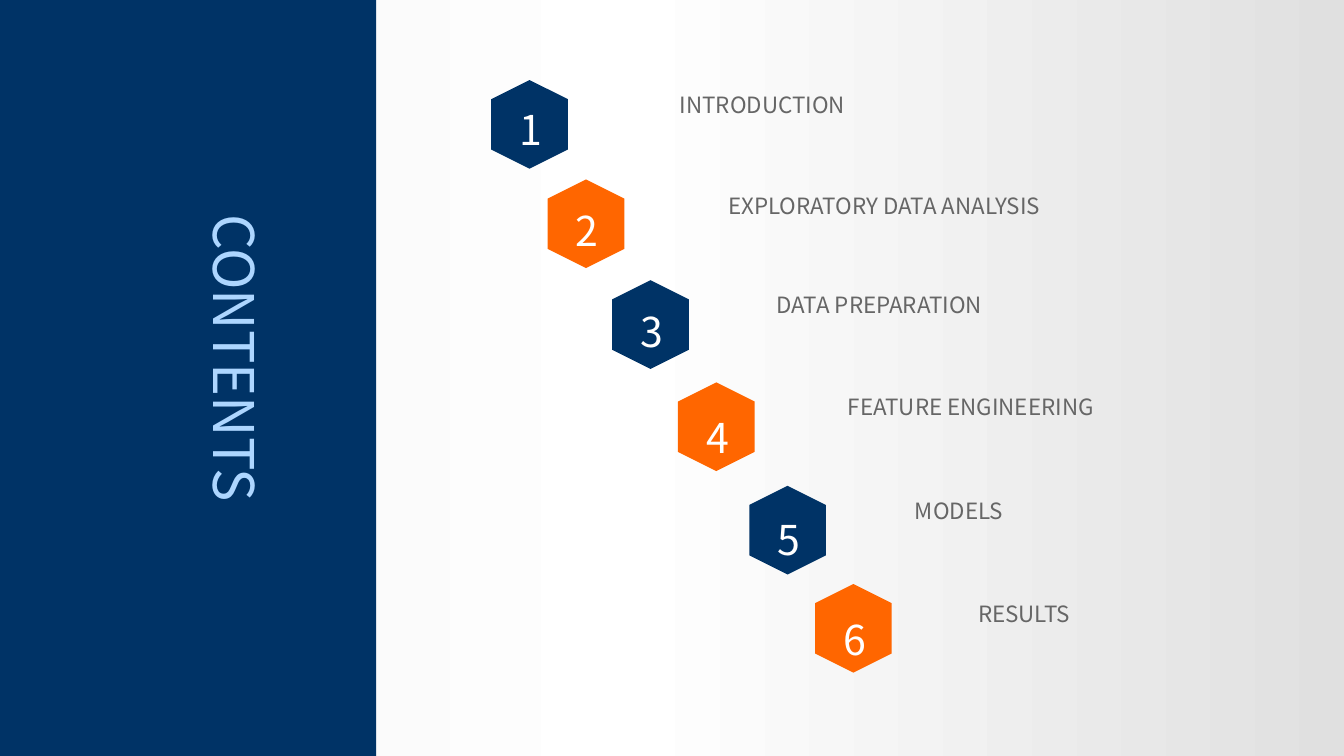
"""Build a contents slide with a side panel and six staggered, numbered hexagons."""
from copy import deepcopy
from dataclasses import dataclass

from pptx import Presentation
from pptx.dml.color import RGBColor
from pptx.enum.shapes import MSO_SHAPE
from pptx.enum.text import MSO_ANCHOR, MSO_AUTO_SIZE, PP_ALIGN
from pptx.util import Inches, Pt

RECTANGLE, HEXAGON = MSO_SHAPE.RECTANGLE, MSO_SHAPE.HEXAGON
LEFT, CENTER = PP_ALIGN.LEFT, PP_ALIGN.CENTER
TOP = MSO_ANCHOR.TOP
NO_AUTOFIT = MSO_AUTO_SIZE.NONE
SLIDE_WIDTH = 10
SLIDE_HEIGHT = SLIDE_WIDTH * 9 / 16


@dataclass(frozen=True)
class Theme:
    font: str = "Noto Sans CJK SC"
    navy: str = "003366"
    orange: str = "FF6600"
    sky: str = "ADD6FF"
    gray: str = "666666"
    white: str = "FFFFFF"
    backdrop: tuple = ((0, "E0E0E0"), (0.53, "FFFFFF"), (1, "F2F2F2"))
    title_size: int = 30
    number_size: int = 22
    topic_size: int = 12


THEME = Theme()


def write(holder, text, *, size, color, align=LEFT, spacing=1.3, inset=(0.07, 0.04)):
    frame = holder.text_frame
    frame.word_wrap = True
    frame.auto_size = NO_AUTOFIT
    frame.vertical_anchor = TOP
    frame.margin_left = frame.margin_right = Inches(inset[0])
    frame.margin_top = frame.margin_bottom = Inches(inset[1])
    paragraph = frame.paragraphs[0]
    paragraph.alignment = align
    paragraph.line_spacing = spacing
    run = paragraph.add_run()
    run.text = text
    run.font.name = THEME.font
    run.font.size = Pt(size)
    run.font.color.rgb = RGBColor.from_string(color)


def add_plain(kind, left, top, width, height, color=None):
    shape = slide.shapes.add_shape(
        kind, Inches(left), Inches(top), Inches(width), Inches(height))
    shape.shadow.inherit = False
    shape.line.fill.background()
    if color:
        shape.fill.solid()
        shape.fill.fore_color.rgb = RGBColor.from_string(color)
    return shape


deck = Presentation()
deck.slide_width, deck.slide_height = Inches(SLIDE_WIDTH), Inches(SLIDE_HEIGHT)
slide = deck.slides.add_slide(deck.slide_layouts[5])

backdrop = add_plain(RECTANGLE, -0.01, 0, SLIDE_WIDTH + 0.01, SLIDE_HEIGHT)
backdrop.fill.gradient()
backdrop.fill.gradient_angle = 180
stop_list = backdrop.element.xpath(".//a:gsLst")[0]
stop_list.append(deepcopy(stop_list[0]))
for stop, (position, color) in zip(backdrop.fill.gradient_stops, THEME.backdrop):
    stop.position = position
    stop.color.rgb = RGBColor.from_string(color)

add_plain(RECTANGLE, 0, 0, 2.8, SLIDE_HEIGHT, THEME.navy)

heading = slide.shapes.title
heading.left, heading.top = Inches(-0.09), Inches(2.33)
heading.width, heading.height = Inches(3.9), Inches(0.67)
heading.rotation = 90
write(heading, "CONTENTS", size=THEME.title_size, color=THEME.sky, align=CENTER)
slide.shapes.element.append(heading.element)

topics = [
    ("INTRODUCTION", 4.96, 0.59, 3.61, 0.64, 0.63),
    ("EXPLORATORY DATA ANALYSIS", 5.32, 1.34, 4.03, 1.38, 1.38),
    ("DATA PREPARATION", 5.68, 2.08, 4.51, 2.13, 2.13),
    ("FEATURE ENGINEERING", 6.21, 2.84, 5, 2.89, 2.92),
    ("MODELS", 6.71, 3.61, 5.53, 3.66, 3.68),
    ("RESULTS", 7.18, 4.38, 6.02, 4.39, 4.42),
]
for number, (topic, topic_left, topic_top, badge_left, badge_top, number_top) in enumerate(topics, 1):
    badge = add_plain(HEXAGON, badge_left, badge_top, 0.66, 0.57,
                      THEME.navy if number % 2 else THEME.orange)
    badge.rotation = 270
    badge.adjustments[0] = 0.25
    badge.adjustments[1] = 1.155

    numeral = slide.shapes.add_textbox(
        Inches(badge_left + 0.04), Inches(number_top), Inches(0.6), Inches(0.51))
    write(numeral, str(number), size=THEME.number_size, color=THEME.white, align=CENTER)

    label = slide.shapes.add_textbox(
        Inches(topic_left), Inches(topic_top), Inches(2.8), Inches(0.67))
    write(label, topic, size=THEME.topic_size, color=THEME.gray,
          spacing=1.2, inset=(0.1, 0.05))

deck.save("out.pptx")
